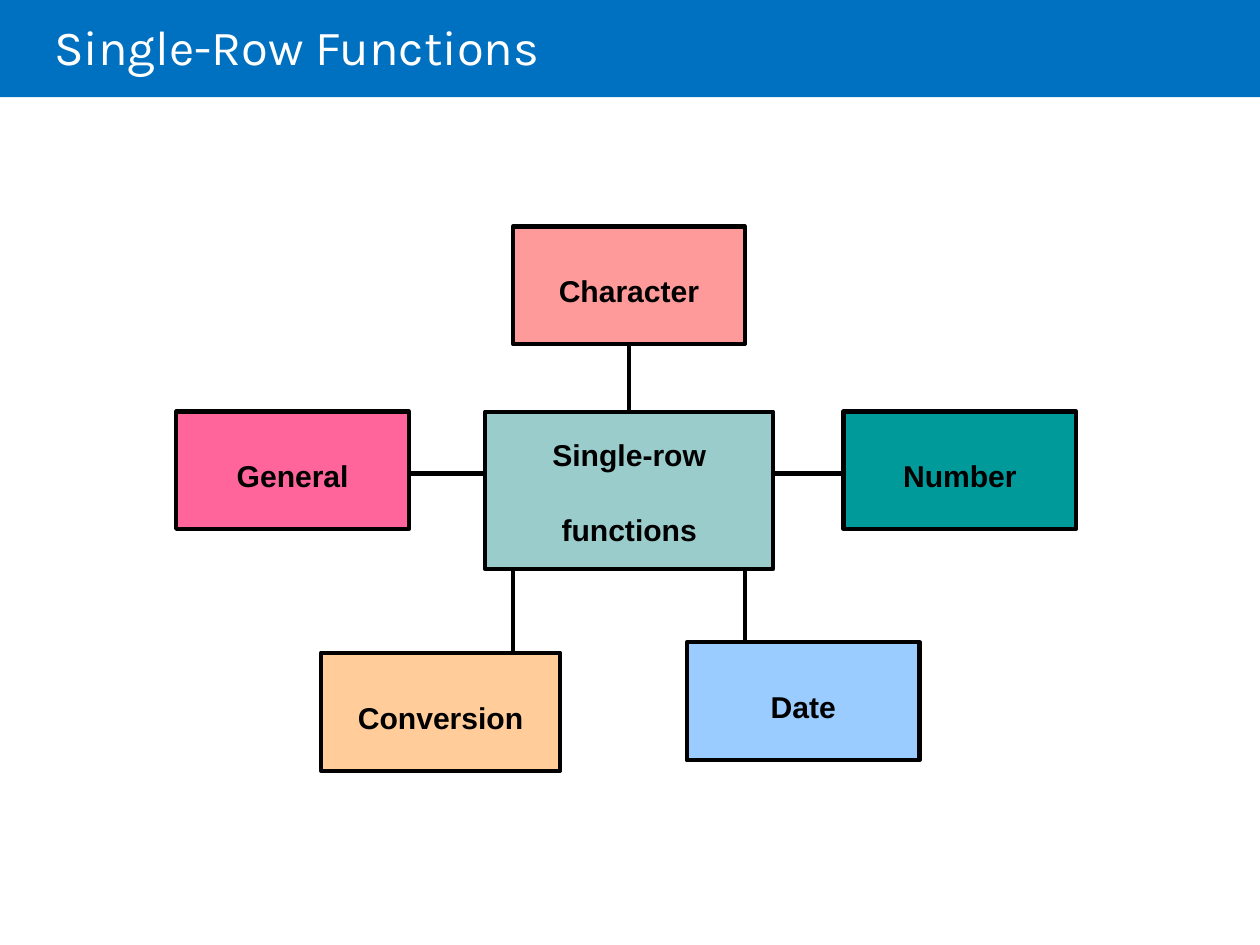
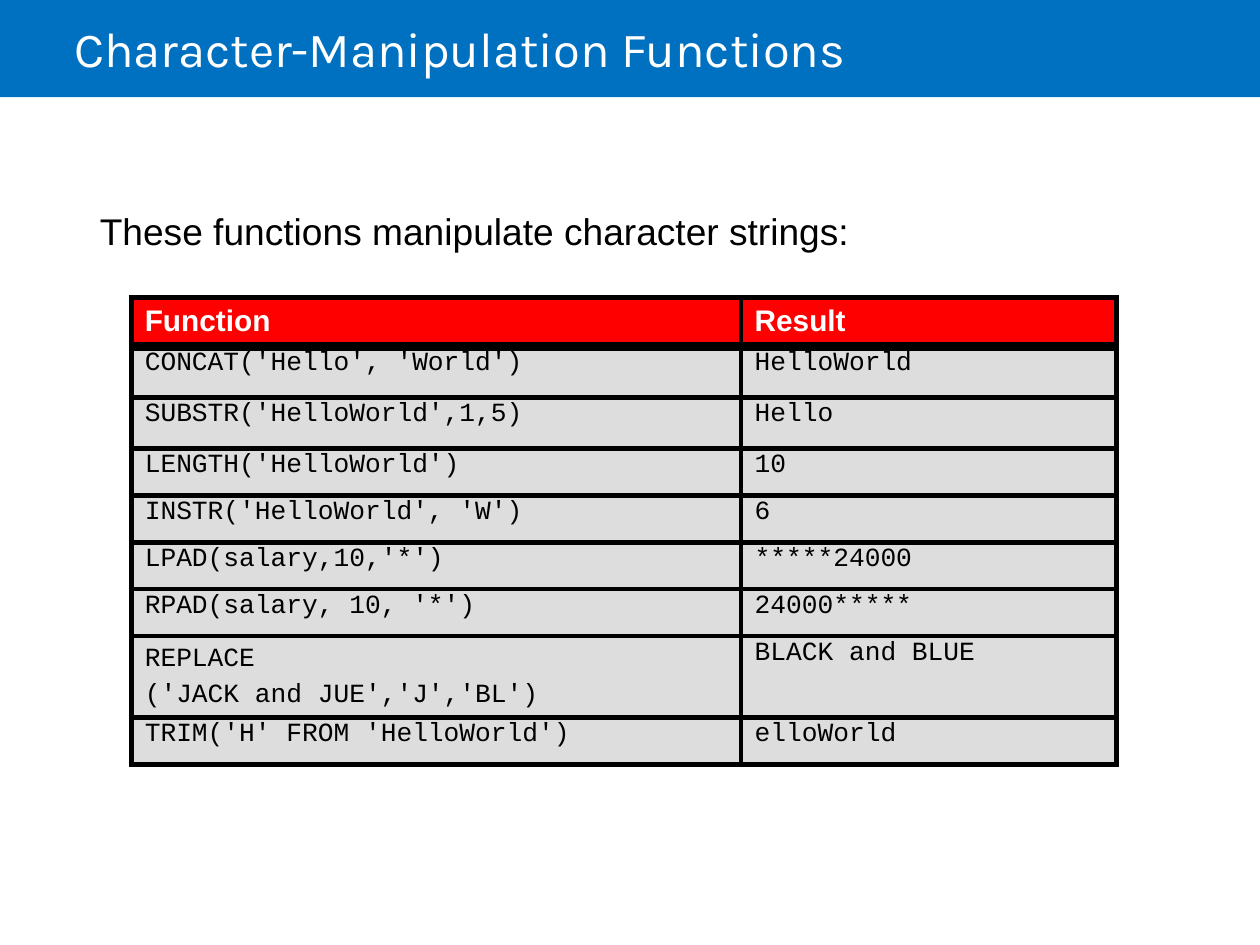
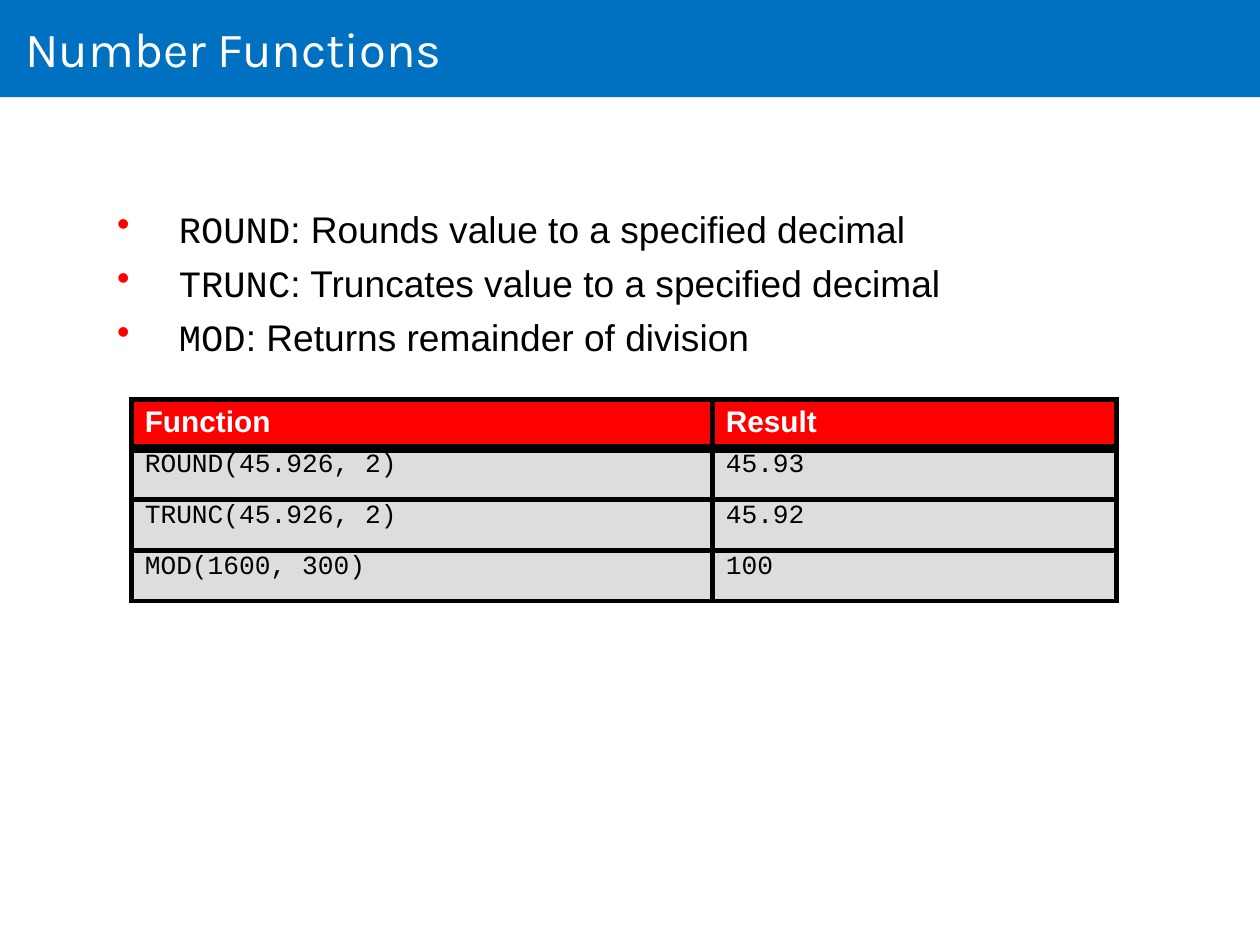
"""Build three slides on SQL single-row functions."""
from dataclasses import dataclass

from lxml import etree
from pptx import Presentation
from pptx import util as u
from pptx.dml import color
from pptx.enum import shapes, text
from pptx.oxml import ns

TITLES = [
    ("Single-Row Functions", (31, 8.5, 462, 35)),
    ("Character-Manipulation Functions", (42.5, 9.5, 641, 35)),
    ("Number Functions", (14.5, 9.5, 680, 35)),
]

BOXES = {
    "Conversion": ("FFCC9A", (183.5, 373, 136.5, 67.5)),
    "Character": ("FF9A9A", (293, 129.5, 132.75, 67)),
    "Number": ("009A9A", (482, 235.25, 133, 67)),
    "Date": ("9ACCFF", (392.5, 367, 133, 67.5)),
    "General": ("FF659A", (100.75, 235.25, 133, 67)),
    "Single-row\nfunctions": ("9ACCCC", (277.25, 235.25, 164.5, 90)),
}
HUB = "Single-row\nfunctions"

INTRO = "These functions manipulate character strings:"
INTRO_AT = (57, 118, 480, 27)

BULLETS = [
    ("ROUND", ": Rounds value to a specified decimal"),
    ("TRUNC", ": Truncates value to a specified decimal"),
    ("MOD", ": Returns remainder of division"),
]
BULLETS_AT = (66.25, 111.5, 520, 94)

HEADER = ("Function", "Result")
CHARACTER_ROWS = [
    ("CONCAT('Hello', 'World')", "HelloWorld"),
    ("SUBSTR('HelloWorld',1,5)", "Hello"),
    ("LENGTH('HelloWorld')", "10"),
    ("INSTR('HelloWorld', 'W')", "6"),
    ("LPAD(salary,10,'*')", "*****24000"),
    ("RPAD(salary, 10, '*')", "24000*****"),
    ("REPLACE\n('JACK and JUE','J','BL')", "BLACK and BLUE"),
    ("TRIM('H' FROM 'HelloWorld')", "elloWorld"),
]
CHARACTER_HEIGHTS = [28, 29.25, 29.25, 26.75, 26.75, 26.75, 26.75, 46.75, 26.75]
NUMBER_ROWS = [
    ("ROUND(45.926, 2)", "45.93"),
    ("TRUNC(45.926, 2)", "45.92"),
    ("MOD(1600, 300)", "100"),
]
NUMBER_HEIGHTS = [28, 29.25, 29.25, 28.75]
TABLE_LEFT = 75


@dataclass(frozen=True)
class Theme:
    """Colours, fonts and sizes shared by the slides."""
    band: str = "0070C0"
    ink: str = "000000"
    paper: str = "FFFFFF"
    accent: str = "FF0000"
    cell: str = "DDDDDD"
    title_font: str = "Karla"
    body_font: str = "Arial"
    code_font: str = "Courier New"
    title_size: float = 28
    body_size: float = 21.2
    box_size: float = 17.2
    header_size: float = 17
    code_size: float = 15
    outline: float = 2.46
    rule: float = 3


T = Theme()


def rgb(value):
    """Turn a hex string into a colour."""
    return color.RGBColor.from_string(value)


def pts(values):
    """Turn numbers into point lengths."""
    return [u.Pt(v) for v in values]


def style(p, font, size, ink=T.ink, bold=False):
    """Format every run of a paragraph."""
    for r in p.runs:
        r.font.name, r.font.size, r.font.bold = font, u.Pt(size), bold
        r.font.color.rgb = rgb(ink)


def set_frame(tf, top=0.0, anchor=text.MSO_ANCHOR.TOP):
    """Give a text frame its insets, wrapping and anchor."""
    tf.margin_left = tf.margin_right = tf.margin_bottom = 0
    tf.margin_top = u.Pt(top)
    tf.word_wrap, tf.vertical_anchor = True, anchor
    tf.auto_size = text.MSO_AUTO_SIZE.NONE


def add_rect(s, at, fill):
    """Add a plain filled rectangle without an outline."""
    sp = s.shapes.add_shape(shapes.MSO_SHAPE.RECTANGLE, *pts(at))
    sp.shadow.inherit = False
    sp.fill.solid()
    sp.fill.fore_color.rgb = rgb(fill)
    sp.line.fill.background()
    return sp


def add_title(s, title, at):
    """Fill and place the title placeholder."""
    sp = s.shapes.title
    sp.left, sp.top, sp.width, sp.height = pts(at)
    sp.text_frame.text = title
    set_frame(sp.text_frame, 1, text.MSO_ANCHOR.MIDDLE)
    p = sp.text_frame.paragraphs[0]
    p.alignment, p.space_before = text.PP_ALIGN.LEFT, u.Pt(1)
    style(p, T.title_font, T.title_size, T.paper)


def add_text(s, at, top):
    """Add an empty text box and return its frame."""
    tf = s.shapes.add_textbox(*pts(at)).text_frame
    set_frame(tf, top)
    return tf


def add_link(s, x1, y1, x2, y2, width=T.outline):
    """Add a straight line between two points."""
    cx = s.shapes.add_connector(shapes.MSO_CONNECTOR.STRAIGHT, *pts((x1, y1, x2, y2)))
    cx.line.color.rgb, cx.line.width = rgb(T.ink), u.Pt(width)
    etree.SubElement(cx.element.spPr, ns.qn("a:effectLst"))


def add_box(s, label, fill, at):
    """Add an outlined box with a bold centred label."""
    sp = add_rect(s, at, fill)
    sp.line.color.rgb, sp.line.width = rgb(T.ink), u.Pt(T.outline)
    tf = sp.text_frame
    tf.text = label
    set_frame(tf, 6 if label != HUB else 2, text.MSO_ANCHOR.MIDDLE)
    for i, p in enumerate(tf.paragraphs):
        p.alignment, p.space_before = text.PP_ALIGN.CENTER, u.Pt(22 if i else 0)
        style(p, T.body_font, T.box_size, bold=True)


def add_diagram(s):
    """Draw the hub, its five boxes and the links between them."""
    at = {label: box for label, (_, box) in BOXES.items()}
    left, top, width, height = at[HUB]
    right, bottom = left + width, top + height
    x, y, w, h = at["Character"]
    middle = 270.75
    add_link(s, x, bottom, x, at["Conversion"][1])
    add_link(s, x + w, bottom, x + w, at["Date"][1])
    add_link(s, left + width / 2, y + h, left + width / 2, top)
    add_link(s, at["General"][0] + at["General"][2], middle, left, middle, T.rule)
    add_link(s, right, middle, at["Number"][0], middle, T.rule)
    for label, (fill, box) in BOXES.items():
        add_box(s, label, fill, box)


def add_borders(cell, widths):
    """Draw the left, right, top and bottom borders of a cell."""
    tc_pr = cell._tc.get_or_add_tcPr()
    for i, (side, width) in enumerate(zip("LRTB", widths)):
        ln = etree.Element(ns.qn(f"a:ln{side}"), w=str(u.Pt(width)))
        fill = etree.SubElement(ln, ns.qn("a:solidFill"))
        etree.SubElement(fill, ns.qn("a:srgbClr"), val=T.ink)
        tc_pr.insert(i, ln)


def fill_cell(cell, words, row):
    """Write and format one table cell."""
    head = row == 0
    cell.text = words
    cell.margin_left = cell.margin_right = cell.margin_bottom = 0
    cell.margin_top = u.Pt(3.7 if head else 1.4)
    cell.fill.solid()
    cell.fill.fore_color.rgb = rgb(T.accent if head else T.cell)
    add_borders(cell, (T.rule, T.rule, T.rule * (2 if row == 1 else 1), T.rule * (2 if head else 1)))
    paragraphs = cell.text_frame.paragraphs
    for i, p in enumerate(paragraphs):
        p.space_before = u.Pt(0 if i else 3.7 if head else 1.4)
        p._p.get_or_add_pPr().set("marL", str(u.Pt(7.75)))
        if len(paragraphs) > 1:
            p.line_spacing = u.Pt(20.6)
        if head:
            style(p, T.body_font, T.header_size, T.paper, True)
        else:
            style(p, T.code_font, T.code_size)


def add_function_table(s, top, widths, heights, rows):
    """Add a table of functions and their results."""
    at = (TABLE_LEFT, top, sum(widths), sum(heights))
    table = s.shapes.add_table(len(heights), len(widths), *pts(at)).table
    table.first_row = table.horz_banding = False
    for col, width in zip(table.columns, widths):
        col.width = u.Pt(width)
    for i, (height, row) in enumerate(zip(heights, [HEADER, *rows])):
        table.rows[i].height = u.Pt(height)
        for j, words in enumerate(row):
            fill_cell(table.cell(i, j), words, i)


def add_intro(s):
    """Add the sentence above the character table."""
    tf = add_text(s, INTRO_AT, 1)
    tf.text = INTRO
    tf.paragraphs[0].space_before = u.Pt(1)
    style(tf.paragraphs[0], T.body_font, T.body_size)


def add_bullets(s):
    """Add the bulleted function descriptions."""
    tf = add_text(s, BULLETS_AT, 6.5)
    for i, parts in enumerate(BULLETS):
        p = tf.add_paragraph() if i else tf.paragraphs[0]
        p.space_before = u.Pt(5.3 if i else 6.1)
        for part in parts:
            p.add_run().text = part
        style(p, T.body_font, T.body_size)
        p.runs[0].font.name = T.code_font
        p_pr = p._p.get_or_add_pPr()
        p_pr.set("marL", str(u.Pt(36)))
        p_pr.set("indent", str(u.Pt(-35.25)))
        bu_clr = etree.SubElement(p_pr, ns.qn("a:buClr"))
        etree.SubElement(bu_clr, ns.qn("a:srgbClr"), val=T.accent)
        etree.SubElement(p_pr, ns.qn("a:buChar"), char="•")


def main():
    """Build and save the presentation."""
    prs = Presentation()
    prs.slide_width, prs.slide_height = pts((720, 540))
    layout = prs.slide_layouts[5]
    slides = [prs.slides.add_slide(layout) for _ in TITLES]
    band = add_rect(slides[0], (0, 0, 720, 55.5), T.band)
    layout.shapes.element.insert(2, band.element)
    for s, (title, at) in zip(slides, TITLES):
        add_title(s, title, at)
    diagram, characters, numbers = slides
    add_diagram(diagram)
    add_intro(characters)
    add_function_table(characters, 170, (348.5, 214.5), CHARACTER_HEIGHTS, CHARACTER_ROWS)
    add_bullets(numbers)
    add_function_table(numbers, 228.25, (332, 231), NUMBER_HEIGHTS, NUMBER_ROWS)
    prs.save("out.pptx")


if __name__ == "__main__":
    main()
